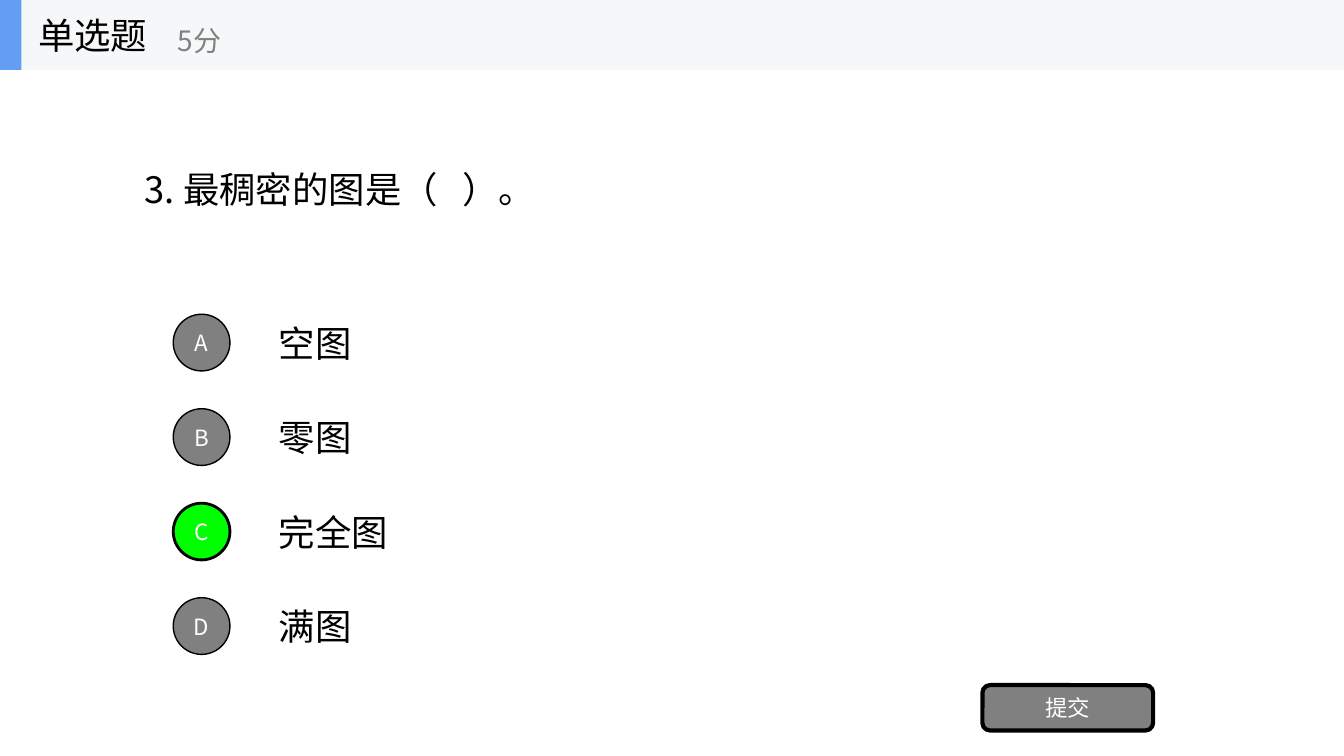
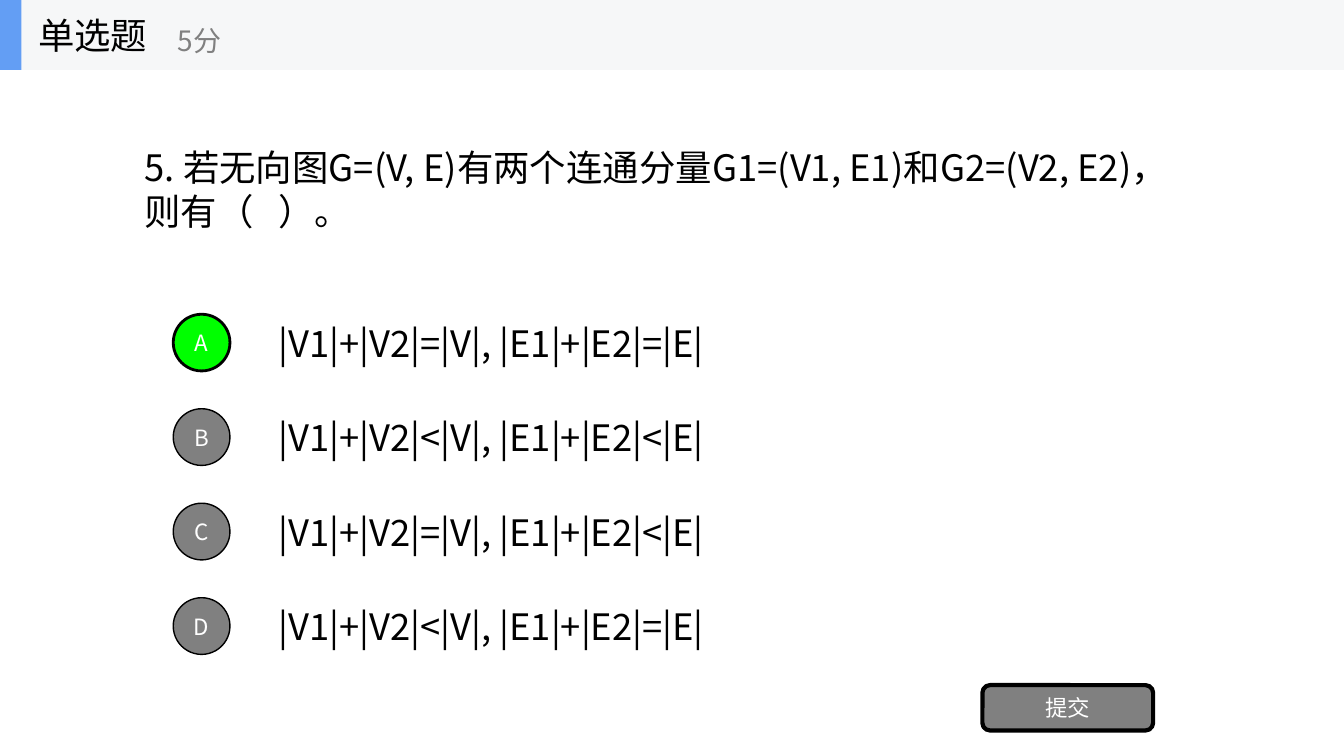
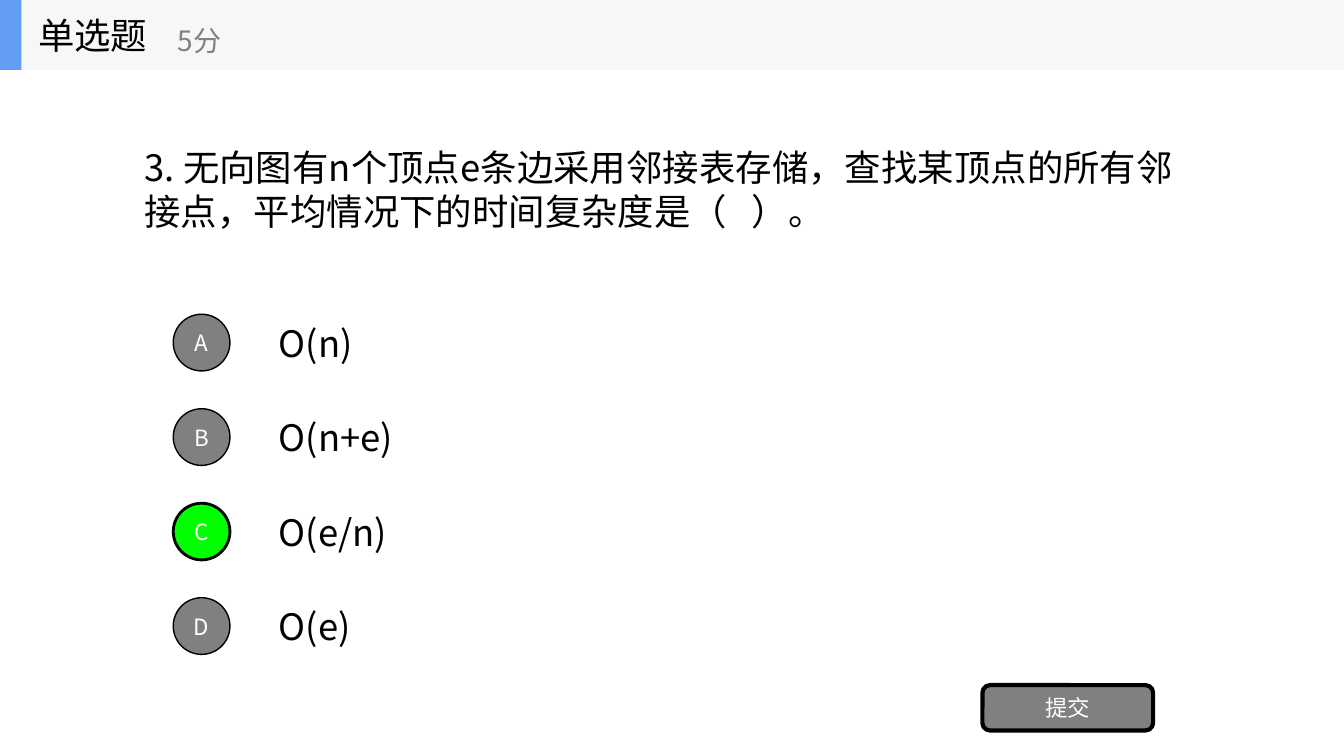
from dataclasses import dataclass

from lxml import etree
from pptx import Presentation
from pptx import util as u
from pptx.dml.color import RGBColor
from pptx.enum import shapes, text
from pptx.oxml.ns import qn


@dataclass(frozen=True)
class Theme:
    font: str = "Noto Sans CJK SC"
    ink: str = "000000"
    paper: str = "FFFFFF"
    muted: str = "808080"
    correct: str = "00FF00"
    band: str = "F6F7F8"
    accent: str = "639EF4"
    main_size: int = 26
    score_size: int = 20
    button_size: int = 16


QUESTIONS = [
    ("3. 最稠密的图是（   ）。",
     ["空图", "零图", "完全图", "满图"], "C"),
    ("5. 若无向图G=(V, E)有两个连通分量G1=(V1, E1)和G2=(V2, E2)，则有（   ）。",
     ["|V1|+|V2|=|V|, |E1|+|E2|=|E|",
      "|V1|+|V2|<|V|, |E1|+|E2|<|E|",
      "|V1|+|V2|=|V|, |E1|+|E2|<|E|",
      "|V1|+|V2|<|V|, |E1|+|E2|=|E|"], "A"),
    ("3. 无向图有n个顶点e条边采用邻接表存储，查找某顶点的所有邻接点，平均情况下的时间复杂度是（   ）。",
     ["O(n)", "O(n+e)", "O(e/n)", "O(e)"], "C"),
]


class Quiz:
    """Draws question slides on a grid of 10 columns and 32 rows."""

    COLUMNS, ROWS = 10, 32
    FIRST_OPTION, OPTION_STEP, OPTION_HEIGHT = 13, 4, 3
    BADGE = 2.4
    BAND_HEIGHT = 2.96

    def __init__(self, theme):
        self.theme = theme
        self.deck = Presentation()
        self.deck.slide_width = u.Inches(13.33)
        self.deck.slide_height = u.Inches(7.5)
        self.column = self.deck.slide_width / self.COLUMNS
        self.row = self.deck.slide_height / self.ROWS
        self.slide = None

    def place(self, left, top, width, height):
        return (round(left * self.column), round(top * self.row),
                round(width * self.column), round(height * self.row))

    def set_text(self, shape, words, size, color, align=text.PP_ALIGN.LEFT, wrap=True):
        frame = shape.text_frame
        frame.text = words
        frame.word_wrap = wrap
        frame.auto_size = text.MSO_AUTO_SIZE.NONE
        frame.vertical_anchor = text.MSO_ANCHOR.MIDDLE
        paragraph = frame.paragraphs[0]
        paragraph.alignment = align
        font = paragraph.font
        font.size = u.Pt(size)
        font.color.rgb = RGBColor.from_string(color)
        font.name = self.theme.font
        defaults = paragraph._p.pPr.find(qn("a:defRPr"))
        etree.SubElement(defaults, qn("a:ea")).set("typeface", self.theme.font)

    def label(self, words, box, size, color, wrap=True, parent=None):
        holder = (parent or self.slide).shapes.add_textbox(*self.place(*box))
        self.set_text(holder, words, size, color, wrap=wrap)

    def block(self, kind, box, fill, outline=0, parent=None):
        """Adds a filled shape; an outline of 0 points means no line."""
        shape = (parent or self.slide).shapes.add_shape(kind, *self.place(*box))
        shape.shadow.inherit = False
        shape.fill.solid()
        shape.fill.fore_color.rgb = RGBColor.from_string(fill)
        if outline:
            shape.line.color.rgb = RGBColor.from_string(self.theme.ink)
            shape.line.width = u.Pt(outline)
        else:
            shape.line.fill.background()
        return shape

    def button(self, kind, words, box, fill, outline):
        shape = self.block(kind, box, fill, outline)
        frame = shape.text_frame
        frame.margin_left = frame.margin_right = 0
        frame.margin_top = frame.margin_bottom = 0
        self.set_text(shape, words, self.theme.button_size, self.theme.paper,
                      text.PP_ALIGN.CENTER)

    def question(self, words):
        title = self.slide.shapes.title
        title.left, title.top, title.width, title.height = self.place(1, 3, 8, 10)
        self.set_text(title, words, self.theme.main_size, self.theme.ink)

    def options(self, answers, correct):
        tops = [self.FIRST_OPTION + self.OPTION_STEP * i for i in range(len(answers))]
        for top, answer in zip(tops, answers):
            self.label(answer, (2, top, 7, self.OPTION_HEIGHT),
                       self.theme.main_size, self.theme.ink)
        badge_width = self.BADGE * self.row / self.column
        for top, letter in zip(tops, "ABCD"):
            box = (1.5 - badge_width / 2, top + (self.OPTION_HEIGHT - self.BADGE) / 2,
                   badge_width, self.BADGE)
            chosen = letter == correct
            self.button(shapes.MSO_SHAPE.OVAL, letter, box,
                        self.theme.correct if chosen else self.theme.muted,
                        2 if chosen else 1)

    def header(self, kind, score):
        theme, rectangle = self.theme, shapes.MSO_SHAPE.RECTANGLE
        band = self.slide.shapes.add_group_shape()
        self.block(rectangle, (0, 0, self.COLUMNS, self.BAND_HEIGHT), theme.band, parent=band)
        self.block(rectangle, (0, 0, 0.16, self.BAND_HEIGHT), theme.accent, parent=band)
        self.label(kind, (0.21, 0, 1.56, self.BAND_HEIGHT), theme.main_size, theme.ink,
                   wrap=False, parent=band)
        self.label(score, (1.25, 0.52, 1.88, 2.4), theme.score_size, theme.muted,
                   wrap=False, parent=band)

    def add(self, words, answers, correct):
        title_only = self.deck.slide_layouts[5]
        self.slide = self.deck.slides.add_slide(title_only)
        self.question(words)
        self.options(answers, correct)
        self.button(shapes.MSO_SHAPE.ROUNDED_RECTANGLE, "提交",
                    (7.31, 29, 1.27, 1.92), self.theme.muted, 3)
        self.header("单选题", "5分")


def main():
    quiz = Quiz(Theme())
    for words, answers, correct in QUESTIONS:
        quiz.add(words, answers, correct)
    quiz.deck.save("out.pptx")


if __name__ == "__main__":
    main()
